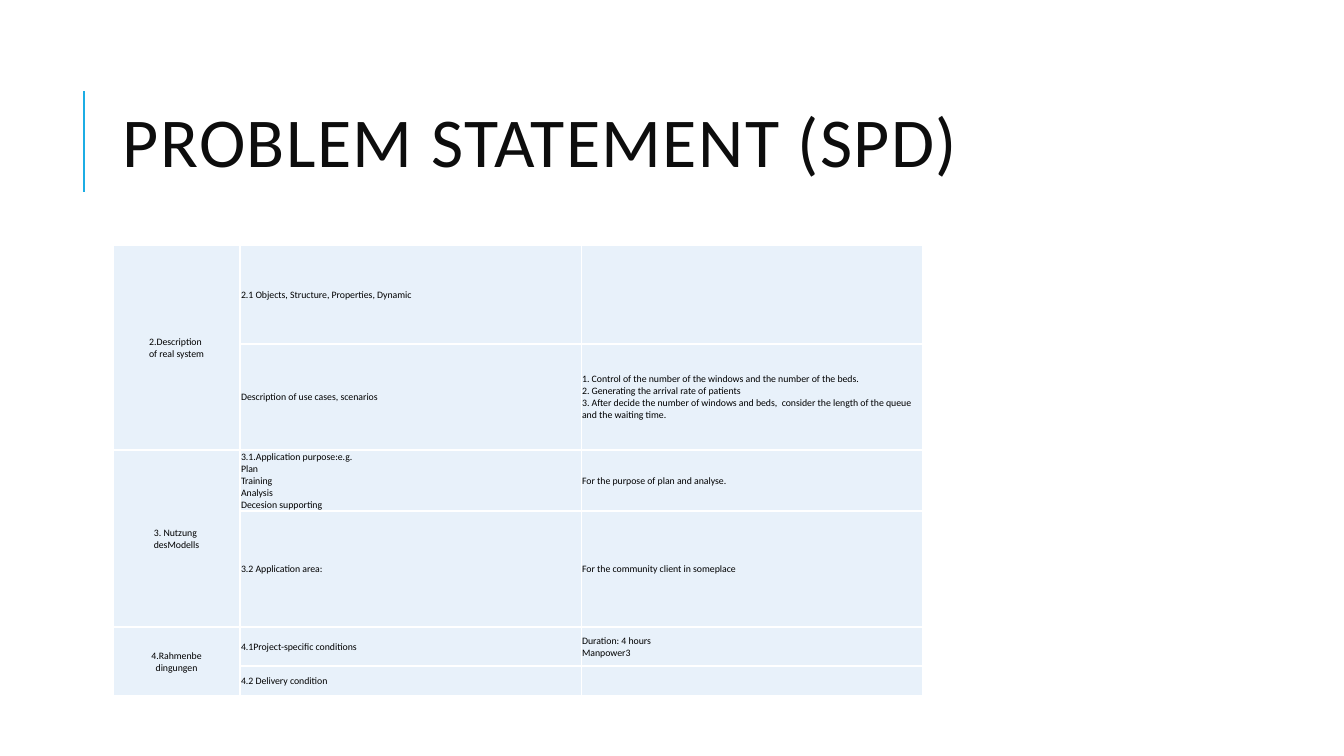
"""Build the problem statement slide with its table of conditions."""
import pptx
import pptx.dml.color
import pptx.enum.shapes
import pptx.enum.text
import pptx.oxml
import pptx.oxml.ns
import pptx.util

HUES = {"page": "FFFFFF", "rule": "1CADE4", "title": "0D0D0D",
        "text": "000000", "cell": "E8F1FA", "edge": "FFFFFF"}
FONT = "Calibri"
MID = pptx.enum.text.MSO_ANCHOR.MIDDLE
LEFT = pptx.enum.text.PP_ALIGN.LEFT
MIDST = pptx.enum.text.PP_ALIGN.CENTER

COLS = [127, 341, 341]
TALL = [99, 106, 61, 116, 39, 30]
ROWS = [
    ("2.Description \vof real system", "2.1 Objects, Structure, Properties, Dynamic", ""),
    ("", "Description of use cases, scenarios",
     "1. Control of the number of the windows and the number of the beds.\v"
     "2. Generating the arrival rate of patients\v"
     "3. After decide the number of windows and beds,  consider the length "
     "of the queue and the waiting time."),
    ("3. Nutzung \vdesModells",
     "3.1.Application purpose:e.g.\vPlan \vTraining\vAnalysis\vDecesion supporting",
     "For the purpose of plan and analyse."),
    ("", "3.2 Application area:", "For the community client in someplace"),
    ("4.Rahmenbe\vdingungen", "4.1Project-specific conditions",
     "Duration: 4 hours\vManpower3"),
    ("", "4.2 Delivery condition", ""),
]


def px(n):
    return pptx.util.Emu(round(n * 914400 / 100.8))


def hue(name):
    return pptx.dml.color.RGBColor.from_string(HUES[name])


class Deck:
    def __init__(self):
        self.file = pptx.Presentation()
        self.file.slide_width = pptx.util.Inches(13.33)
        self.file.slide_height = pptx.util.Inches(7.5)
        self.slide = self.file.slides.add_slide(self.file.slide_layouts[6])
        self.slide.background.fill.solid()
        self.slide.background.fill.fore_color.rgb = hue("page")

    def style(self, para, size, name):
        for run in para.runs:
            run.font.name = FONT
            run.font.size = pptx.util.Pt(size)
            run.font.color.rgb = hue(name)

    def line(self, x1, y1, x2, y2, name, width):
        kind = pptx.enum.shapes.MSO_CONNECTOR.STRAIGHT
        rule = self.slide.shapes.add_connector(kind, px(x1), px(y1), px(x2), px(y2))
        rule.line.color.rgb = hue(name)
        rule.line.width = pptx.util.Pt(width)
        rule._element.spPr.append(pptx.oxml.parse_xml(
            f'<a:effectLst {pptx.oxml.ns.nsdecls("a")}/>'))

    def title(self, x, y, w, h, words, size):
        frame = self.slide.shapes.add_textbox(px(x), px(y), px(w), px(h)).text_frame
        frame.word_wrap = True
        frame.vertical_anchor = MID
        frame.text = words
        para = frame.paragraphs[0]
        para.line_spacing = 0.8
        self.style(para, size, "title")
        para.runs[0].font._element.set("spc", "100")

    def edge(self, cell, width):
        props = cell._tc.get_or_add_tcPr()
        for spot, side in enumerate("LRTB"):
            props.insert(spot, pptx.oxml.parse_xml(
                f'<a:ln{side} {pptx.oxml.ns.nsdecls("a")} w="{pptx.util.Pt(width)}">'
                f'<a:solidFill><a:srgbClr val="{HUES["edge"]}"/></a:solidFill></a:ln{side}>'))

    def cell(self, cell, words, align, size):
        cell.fill.solid()
        cell.fill.fore_color.rgb = hue("cell")
        cell.vertical_anchor = MID
        cell.margin_left = cell.margin_right = cell.margin_top = px(1)
        cell.margin_bottom = 0
        para = cell.text_frame.paragraphs[0]
        para.text = words
        para.alignment = align
        self.style(para, size, "text")
        if not words:
            para._p.get_or_add_endParaRPr().set("sz", str(size * 100))
        self.edge(cell, 1)

    def table(self, x, y, cols, tall, rows, size):
        grid = self.slide.shapes.add_table(
            len(rows), len(cols), px(x), px(y), px(sum(cols)), px(sum(tall))).table
        grid.first_row = grid.horz_banding = False
        for col, wide in zip(grid.columns, cols):
            col.width = px(wide)
        for r, (row, high) in enumerate(zip(rows, tall)):
            grid.rows[r].height = px(high)
            for c, words in enumerate(row):
                self.cell(grid.cell(r, c), words, LEFT if c else MIDST, size)
        for r in range(0, len(rows), 2):
            grid.cell(r, 0).merge(grid.cell(r + 1, 0))


deck = Deck()
deck.line(84, 192, 84, 91, "rule", 1.5)
deck.title(113, 65, 1072, 165, "PROBLEM STATEMENT (SPD)", 50)
deck.table(113, 245, COLS, TALL, ROWS, 7)
deck.file.save("out.pptx")
